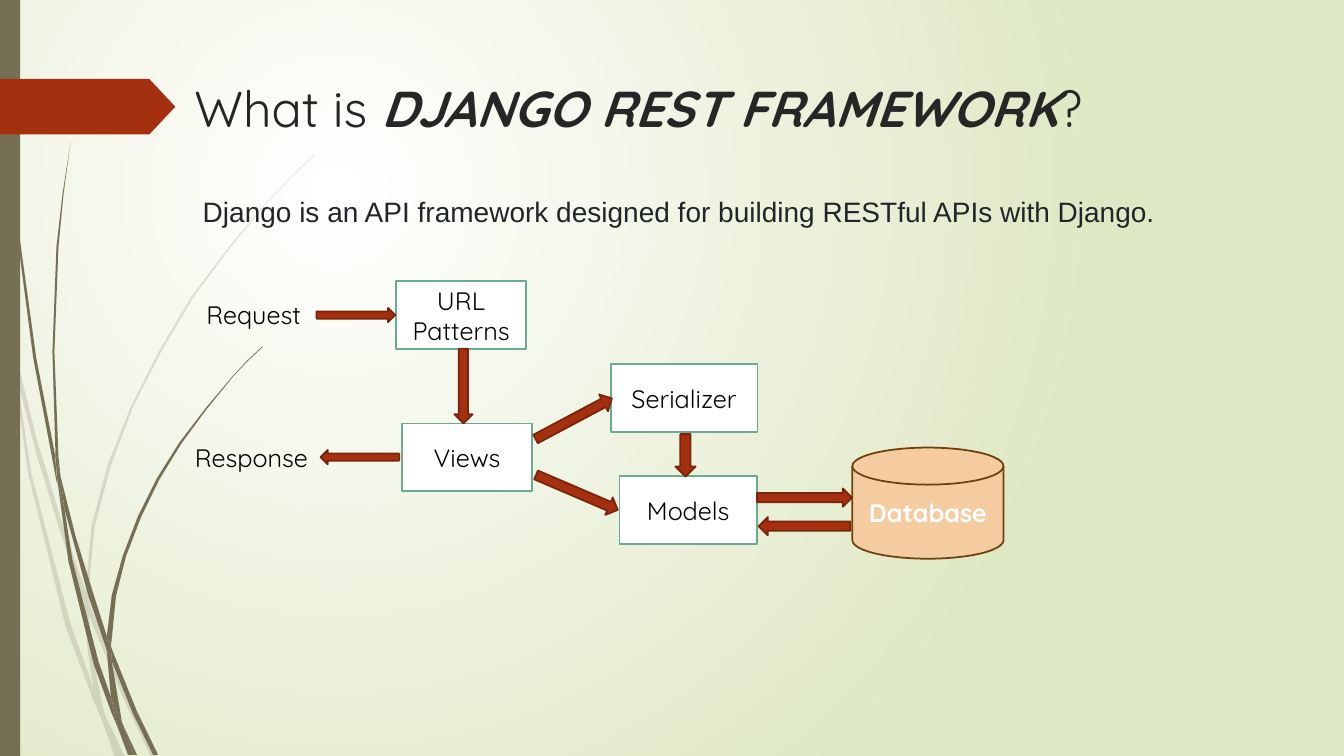
from dataclasses import dataclass

from lxml.etree import SubElement
from pptx import Presentation
from pptx.dml.color import RGBColor
from pptx.enum.shapes import MSO_SHAPE
from pptx.enum.text import MSO_ANCHOR, PP_ALIGN
from pptx.oxml.ns import qn
from pptx.util import Cm, Pt


@dataclass(frozen=True)
class Theme:
    heading_font: str = "Quicksand"
    body_font: str = "Arial"
    title_size: int = 36
    body_size: int = 20
    label_size: int = 18
    title_color: str = "262626"
    body_color: str = "212529"
    black: str = "000000"
    white: str = "FFFFFF"
    glow_edge: str = "DFE8C4"
    stem: str = "766F54"
    accent: str = "A53010"
    accent_edge: str = "7A240C"
    box_edge: str = "6AAC91"
    store: str = "F5CBA0"
    store_edge: str = "6F3F0C"
    edge_width: float = 1.25


class SlideBuilder:
    """Draws on one slide; positions and lengths are in centimetres."""

    def __init__(self, slide, theme):
        self.slide = slide
        self.theme = theme

    def glow_background(self):
        fill = self.slide.background.fill
        fill.gradient()
        colors = (self.theme.white, self.theme.glow_edge)
        for position, (stop, color) in enumerate(zip(fill.gradient_stops, colors)):
            stop.color.rgb = RGBColor.from_string(color)
            stop.position = position
        linear = next(self.slide.element.iter(qn("a:lin")))
        gradient = linear.getparent()
        gradient.remove(linear)
        circle = SubElement(gradient, qn("a:path"), {"path": "circle"})
        SubElement(circle, qn("a:fillToRect"),
                   {"l": "50000", "t": "50000", "r": "100000", "b": "100000"})

    def paint(self, shape, fill, edge=None):
        shape.shadow.inherit = False
        shape.fill.solid()
        shape.fill.fore_color.rgb = RGBColor.from_string(fill)
        if edge:
            shape.line.color.rgb = RGBColor.from_string(edge)
            shape.line.width = Pt(self.theme.edge_width)
        else:
            shape.line.fill.background()

    def shape(self, kind, left, top, width, height, fill, edge=None):
        shape = self.slide.shapes.add_shape(
            kind, Cm(left), Cm(top), Cm(width), Cm(height))
        self.paint(shape, fill, edge)
        return shape

    def stem(self, outline, opacity=100):
        """Draw part of a blade of grass; 100 units of its outline are 2.54 cm."""
        builder = self.slide.shapes.build_freeform(*outline[0], scale=Cm(2.54) / 100)
        builder.add_line_segments(outline[1:], close=True)
        blade = builder.convert_to_shape()
        self.paint(blade, self.theme.stem)
        if opacity < 100:
            color = next(blade.element.spPr.iter(qn("a:srgbClr")))
            SubElement(color, qn("a:alpha"), {"val": str(opacity * 1000)})

    def style(self, paragraph, size, color, font=None):
        paragraph.font.name = font or self.theme.heading_font
        paragraph.font.size = Pt(size)
        paragraph.font.color.rgb = RGBColor.from_string(color)

    def text(self, left, top, width, height, runs, size, color, font=None):
        """Write runs of (wording, emphasised) in one paragraph."""
        box = self.slide.shapes.add_textbox(
            Cm(left), Cm(top), Cm(width), Cm(height))
        box.text_frame.word_wrap = True
        paragraph = box.text_frame.paragraphs[0]
        self.style(paragraph, size, color, font)
        for wording, emphasised in runs:
            run = paragraph.add_run()
            run.text = wording
            if emphasised:
                run.font.bold = run.font.italic = True

    def label(self, wording, left, top, width):
        self.text(left, top, width, 1.02, [(wording, False)],
                  self.theme.label_size, self.theme.black)

    def caption(self, shape, wording, color, bold=False):
        shape.text_frame.word_wrap = True
        shape.text_frame.vertical_anchor = MSO_ANCHOR.MIDDLE
        paragraph = shape.text_frame.paragraphs[0]
        paragraph.text = wording
        paragraph.alignment = PP_ALIGN.CENTER
        self.style(paragraph, self.theme.label_size, color)
        paragraph.font.bold = bold

    def component(self, wording, left, top, width):
        box = self.shape(MSO_SHAPE.RECTANGLE, left, top, width, 1.71,
                         self.theme.white, self.theme.box_edge)
        self.caption(box, wording, self.theme.black)

    def database(self, wording, left, top, width, height):
        disk = self.shape(MSO_SHAPE.FLOWCHART_MAGNETIC_DISK, left, top, width,
                          height, self.theme.store, self.theme.store_edge)
        self.caption(disk, wording, self.theme.white, bold=True)

    def arrow(self, kind, left, top, width, height, rotation=0):
        arrow = self.shape(kind, left, top, width, height,
                           self.theme.accent, self.theme.accent_edge)
        arrow.rotation = rotation


PALE_STEMS = [
    [(11, 350), (9, 322), (0, 282), (0, 299), (10, 344)],
    [(58, 522), (84, 599), (85, 586), (62, 520), (36, 434), (14, 345), (17, 376),
     (36, 450)],
    [(92, 607), (88, 596), (88, 610), (123, 694), (150, 751), (155, 751), (127, 692)],
    [(119, 751), (124, 751), (105, 711)],
    [(93, 683), (70, 619), (31, 469), (17, 376), (11, 350), (28, 470), (65, 621),
     (92, 693), (101, 714), (99, 707)],
    [(84, 599), (87, 646), (93, 683), (96, 692), (105, 711), (103, 706), (91, 646),
     (88, 610), (88, 608)],
    [(88, 584), (94, 522), (110, 462), (132, 404), (160, 349), (192, 295), (229, 245),
     (268, 198), (290, 175), (312, 154), (312, 153), (289, 175), (268, 197),
     (228, 244), (190, 294), (158, 348), (130, 403), (107, 461), (91, 521), (85, 584),
     (85, 586), (88, 596)],
    [(101, 714), (114, 751), (119, 751)],
    [(88, 608), (88, 610), (88, 596), (85, 586), (84, 599)],
    [(96, 692), (93, 683), (99, 707), (101, 714), (119, 751), (105, 711)],
]
DARK_STEMS = [
    [(7, 110), (17, 233), (33, 355), (56, 477), (57, 481), (55, 457), (55, 453),
     (36, 355), (19, 232), (8, 109), (5, 48), (4, 0), (3, 0), (4, 48)],
    [(88, 592), (106, 645), (106, 633), (106, 631), (93, 590), (75, 532), (60, 472),
     (64, 505)],
    [(113, 649), (110, 641), (111, 656), (132, 708), (152, 749), (157, 749),
     (136, 706)],
    [(110, 691), (98, 657), (72, 556), (64, 505), (57, 477), (68, 557), (93, 659),
     (111, 708), (117, 722), (116, 717)],
    [(60, 472), (58, 453), (54, 349), (58, 245), (63, 193), (70, 141), (62, 193),
     (56, 245), (52, 349), (55, 449)],
    [(133, 749), (136, 749), (122, 719)],
    [(57, 477), (64, 505), (60, 472), (55, 449), (55, 453)],
    [(111, 633), (115, 592), (125, 552), (140, 513), (158, 476), (180, 440),
     (205, 406), (231, 374), (245, 359), (261, 344), (260, 344), (245, 358),
     (231, 373), (204, 405), (178, 439), (156, 474), (137, 512), (122, 551),
     (111, 590), (106, 631), (110, 641)],
    [(117, 722), (127, 749), (131, 749)],
    [(106, 645), (110, 691), (116, 706), (122, 719), (121, 716), (111, 656),
     (109, 651)],
    [(106, 645), (109, 651), (111, 656), (110, 641), (106, 631), (106, 633)],
    [(116, 706), (110, 691), (116, 717), (117, 722), (130, 749), (133, 749),
     (122, 719)],
]
COMPONENTS = [
    ("URL Patterns", 9.98, 7.09, 3.28),
    ("Views", 10.13, 10.67, 3.28),
    ("Serializer", 15.39, 9.18, 3.7),
    ("Models", 15.61, 12, 3.47),
]
ARROWS = [
    (MSO_SHAPE.RIGHT_ARROW, 7.98, 7.76, 1.98, 0.36),
    (MSO_SHAPE.LEFT_ARROW, 8.08, 11.34, 1.98, 0.36),
    (MSO_SHAPE.DOWN_ARROW, 17.02, 10.94, 0.51, 1.07),
    (MSO_SHAPE.RIGHT_ARROW, 13.37, 10.31, 2.18, 0.48, 332),
    (MSO_SHAPE.RIGHT_ARROW, 13.42, 12.17, 2.24, 0.48, 23.2),
    (MSO_SHAPE.DOWN_ARROW, 11.45, 8.79, 0.46, 1.88),
    (MSO_SHAPE.RIGHT_ARROW, 19.08, 12.31, 2.39, 0.46),
    (MSO_SHAPE.LEFT_ARROW, 19.12, 13.03, 2.31, 0.46),
]


def main():
    deck = Presentation()
    deck.slide_width, deck.slide_height = Cm(33.87), Cm(19.05)
    theme = Theme()
    page = SlideBuilder(deck.slides.add_slide(deck.slide_layouts[6]), theme)

    page.glow_background()
    for outline in PALE_STEMS:
        page.stem(outline, opacity=20)
    for outline in DARK_STEMS:
        page.stem(outline)
    page.shape(MSO_SHAPE.RECTANGLE, 0, 0, 0.51, 19.05, theme.stem)
    title_tab = page.shape(MSO_SHAPE.PENTAGON, 0, 1.99, 4.42, 1.4, theme.accent)
    title_tab.adjustments[0] = 0.47

    page.text(4.65, 1.82, 29.21, 2.21,
              [("What is ", False), ("DJANGO REST FRAMEWORK", True), ("?", False)],
              theme.title_size, theme.title_color)
    page.text(4.86, 4.78, 26.87, 13.08,
              [("Django is an API framework designed for building "
                "RESTful APIs with Django.", False)],
              theme.body_size, theme.body_color, theme.body_font)

    page.label("Request", 4.95, 7.43, 3.05)
    page.label("Response", 4.66, 11.02, 3.58)
    for component in COMPONENTS:
        page.component(*component)
    page.database("Database", 21.48, 11.28, 3.81, 2.8)
    for arrow in ARROWS:
        page.arrow(*arrow)

    deck.save("out.pptx")


if __name__ == "__main__":
    main()
